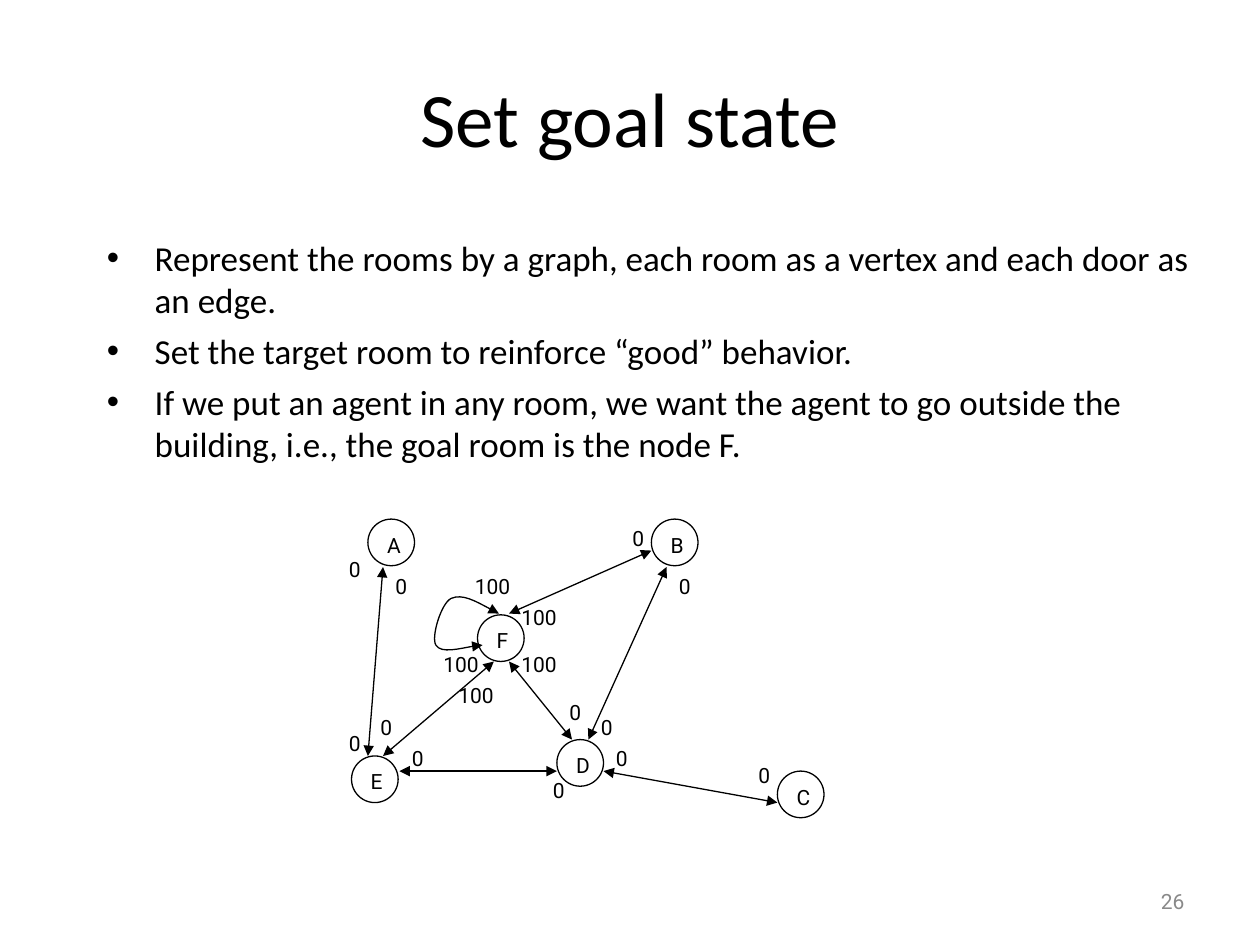
from lxml import etree
from pptx import Presentation
from pptx.dml.color import RGBColor
from pptx.enum import shapes, text
from pptx.oxml import ns
from pptx.util import Inches, Pt

BLACK = RGBColor(0x00, 0x00, 0x00)
WHITE = RGBColor(0xFF, 0xFF, 0xFF)
GRAY = RGBColor(0x89, 0x89, 0x89)

TITLE = "Set goal state"
BULLETS = [
    "Represent the rooms by a graph, each room as a vertex and each door as an edge.",
    "Set the target room to reinforce “good” behavior.",
    "If we put an agent in any room, we want the agent to go outside the building, "
    "i.e., the goal room is the node F.",
]
PAGE_NUMBER = "26"
REWARDS = [
    ("0", (0.37, 0.37), [
        (3.04, 4.5), (2.67, 4.37), (2.67, 5.75), (2.92, 5.62), (3.17, 5.87), (4.29, 6.12),
        (4.42, 5.5), (4.67, 5.62), (4.79, 5.87), (5.92, 6), (5.29, 4.5), (4.92, 4.12)]),
    ("100", (0.5, 0.25), [
        (3.54, 5.37), (3.42, 5.12), (3.67, 4.5), (4.04, 4.75), (4.04, 5.12)]),
]
ROOM_SIZE = (0.37, 0.37)
ROOMS = {
    "A": (2.92, 4.12), "E": (2.79, 6), "B": (5.17, 4.12),
    "D": (4.42, 5.87), "F": (3.79, 4.88), "C": (6.17, 6.12),
}
DOORS = [
    ((3.04, 4.5), (2.92, 6)),
    ((3.04, 6), (3.92, 5.25)),
    ((4.04, 5.25), (4.54, 5.87)),
    ((4.04, 4.87), (5.17, 4.37)),
    ((5.29, 4.5), (4.67, 5.87)),
    ((3.17, 6.12), (4.42, 6.12)),
    ((4.79, 6.12), (6.17, 6.37)),
]
GOAL_LOOP = [
    (3.96, 4.87),
    (3.81, 4.79), (3.67, 4.71), (3.58, 4.75),
    (3.5, 4.79), (3.42, 5.06), (3.46, 5.12),
    (3.5, 5.19), (3.77, 5.12), (3.83, 5.12),
]


def inches(values):
    return [Inches(value) for value in values]


def set_font(paragraph, name, size, color):
    paragraph.font.name = name
    paragraph.font.size = Pt(size)
    paragraph.font.color.rgb = color


def add_bullet(paragraph):
    properties = paragraph._p.get_or_add_pPr()
    properties.set("marL", str(Inches(0.38)))
    properties.set("indent", str(Inches(-0.38)))
    etree.SubElement(properties, ns.qn("a:buFont"), typeface="Arial")
    etree.SubElement(properties, ns.qn("a:buChar"), char="•")


def add_text_box(slide, left, top, width, height):
    frame = slide.shapes.add_textbox(*inches((left, top, width, height))).text_frame
    frame.word_wrap = True
    return frame


def add_label(group, preset, label, position, size):
    shape = group.shapes.add_shape(preset, *inches(position + size))
    shape.shadow.inherit = False
    shape.fill.solid()
    shape.fill.fore_color.rgb = WHITE
    shape.line.fill.background()
    frame = shape.text_frame
    frame.vertical_anchor = text.MSO_ANCHOR.TOP
    paragraph = frame.paragraphs[0]
    paragraph.text = label
    paragraph.alignment = text.PP_ALIGN.LEFT
    set_font(paragraph, "Roboto", 12, BLACK)
    return shape


def set_outline(shape, arrows=False):
    shape.line.color.rgb = BLACK
    shape.line.width = Pt(0.75)
    if arrows:
        line = shape.line._get_or_add_ln()
        for end in ("a:headEnd", "a:tailEnd"):
            etree.SubElement(line, ns.qn(end), type="triangle")


def add_curve(group, points):
    start, *others = [inches(point) for point in points]
    builder = group.shapes.build_freeform(*start, scale=1.0)
    builder.add_line_segments(others, close=False)
    shape = builder.convert_to_shape()
    shape.shadow.inherit = False
    shape.fill.background()
    lines = list(shape._element.iter(ns.qn("a:lnTo")))
    outline = lines[0].getparent()
    for first in range(0, len(lines), 3):
        curve = etree.SubElement(outline, ns.qn("a:cubicBezTo"))
        for line in lines[first:first + 3]:
            curve.append(line[0])
            outline.remove(line)
    return shape


def main():
    presentation = Presentation()
    presentation.slide_width, presentation.slide_height = inches((10, 7.5))
    slide = presentation.slides.add_slide(presentation.slide_layouts[5])

    title = slide.shapes.title
    title.left, title.top, title.width, title.height = inches((0.5, 0.3, 9, 1.25))
    title.text_frame.vertical_anchor = text.MSO_ANCHOR.MIDDLE
    paragraph = title.text_frame.paragraphs[0]
    paragraph.text = TITLE
    paragraph.alignment = text.PP_ALIGN.CENTER
    set_font(paragraph, "Calibri", 44, BLACK)

    body = add_text_box(slide, 0.75, 1.83, 8.83, 5.25)
    for index, bullet in enumerate(BULLETS):
        paragraph = body.add_paragraph() if index else body.paragraphs[0]
        paragraph.text = bullet
        paragraph.space_before = Pt(5 if index else 0)
        add_bullet(paragraph)
        set_font(paragraph, "Calibri", 20, BLACK)

    footer = add_text_box(slide, 7.17, 6.95, 2.33, 0.4)
    footer.vertical_anchor = text.MSO_ANCHOR.MIDDLE
    paragraph = footer.paragraphs[0]
    paragraph.text = PAGE_NUMBER
    paragraph.alignment = text.PP_ALIGN.RIGHT
    set_font(paragraph, "Roboto", 12, GRAY)

    graph = slide.shapes.add_group_shape()
    for reward, size, positions in REWARDS:
        for position in positions:
            add_label(graph, shapes.MSO_SHAPE.RECTANGLE, reward, position, size)
    for room, position in ROOMS.items():
        set_outline(add_label(graph, shapes.MSO_SHAPE.OVAL, room, position, ROOM_SIZE))
    for start, end in DOORS:
        door = graph.shapes.add_connector(
            shapes.MSO_CONNECTOR.STRAIGHT, *inches(start + end))
        set_outline(door, arrows=True)
        etree.SubElement(door._element.spPr, ns.qn("a:effectLst"))
    set_outline(add_curve(graph, GOAL_LOOP), arrows=True)

    presentation.save("out.pptx")


if __name__ == "__main__":
    main()
